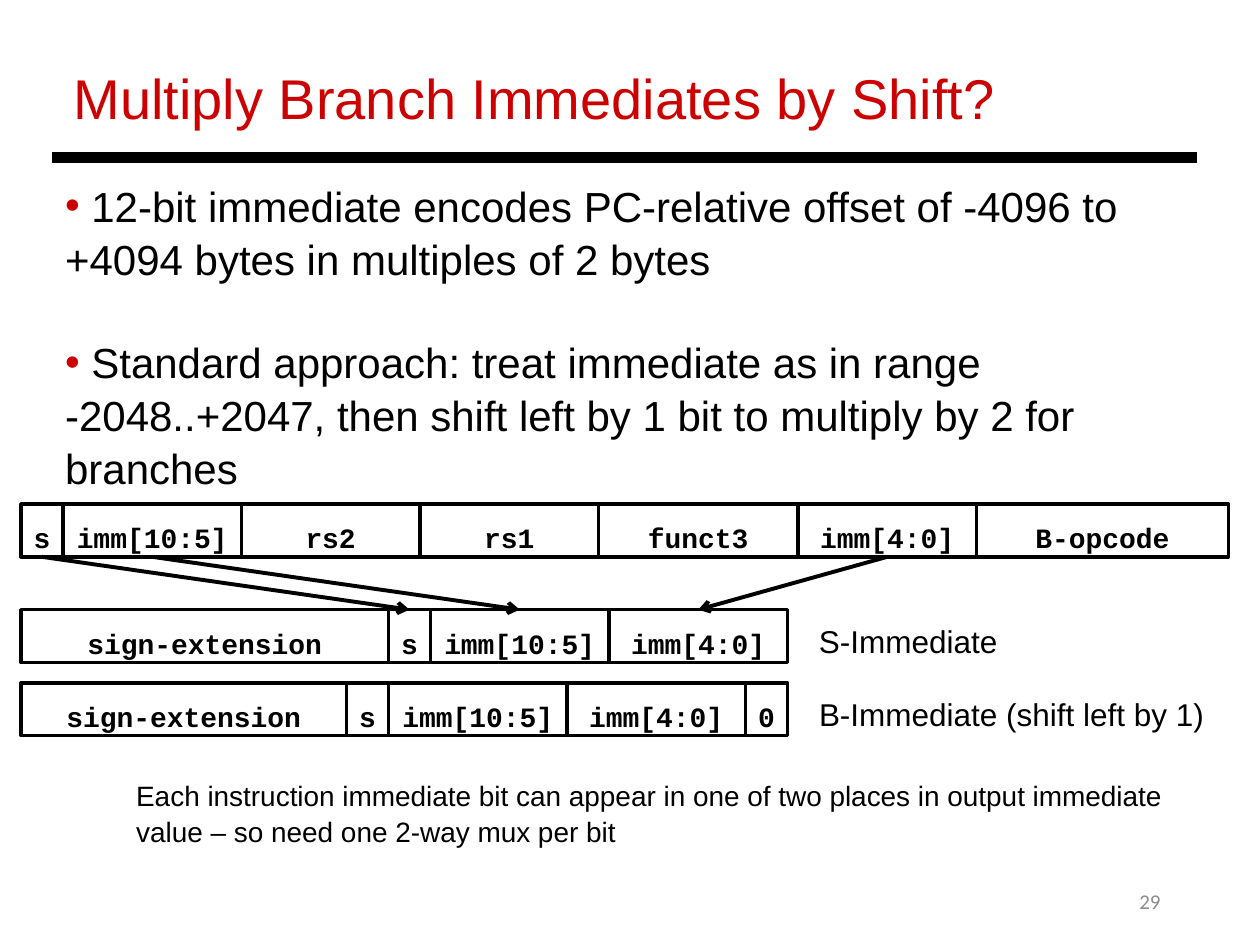
"""Build the slide on shifting branch immediates."""
from dataclasses import dataclass

from lxml import etree
from pptx import Presentation
from pptx.dml.color import RGBColor
from pptx.enum import shapes, text
from pptx.oxml import ns
from pptx.util import Pt

BLACK = RGBColor(0x00, 0x00, 0x00)
WHITE = RGBColor(0xFF, 0xFF, 0xFF)
RED = RGBColor(0xCC, 0x00, 0x00)
GRAY = RGBColor(0x8C, 0x8C, 0x8C)

LEFT, CELL_H = 12, 30.2
BIT, FIELD = 24, 102
ROW_Y = {"instr": 288, "S": 348.4, "B": 390.2}
HIGH, LOW, SIGN = "imm[10:5]", "imm[4:0]", "sign-extension"


def add_text(p, content, size=24, font="Arial", color=BLACK, bold=False,
             align=text.PP_ALIGN.LEFT, spacing=1.05, before=0):
    """Write one formatted run into a paragraph."""
    p.alignment = align
    p.line_spacing = spacing
    p.space_before = Pt(before)
    r = p.add_run()
    r.text = content
    f = r.font
    f.size, f.name, f.bold = Pt(size), font, bold
    f.color.rgb = color


def add_bullet(p, color):
    """Give a paragraph a coloured bullet without a hanging indent."""
    pPr = p._p.get_or_add_pPr()
    pPr.set("marL", "0")
    pPr.set("indent", "0")
    clr = etree.SubElement(pPr, ns.qn("a:buClr"))
    etree.SubElement(clr, ns.qn("a:srgbClr"), val=str(color))
    etree.SubElement(pPr, ns.qn("a:buFont"), typeface="Arial")
    etree.SubElement(pPr, ns.qn("a:buChar"), char="•")


@dataclass
class Builder:
    """Hold the style and the current slide."""
    s: object
    mono: str = "Courier New"
    border: float = 2
    arrow_width: float = 2.25

    def frame(self, sp, margins=(7.2, 3.6, 7.2, 3.6), wrap=True,
              anchor=text.MSO_ANCHOR.TOP):
        """Set up the text frame of a shape."""
        tf = sp.text_frame
        tf.auto_size = text.MSO_AUTO_SIZE.NONE
        tf.word_wrap = wrap
        tf.vertical_anchor = anchor
        (tf.margin_left, tf.margin_top,
         tf.margin_right, tf.margin_bottom) = map(Pt, margins)
        return tf

    def place(self, sp, x, y, w, h):
        """Move and size a placeholder."""
        sp.left, sp.top, sp.width, sp.height = map(Pt, (x, y, w, h))
        return self.frame(sp)

    def title(self, content, box):
        """Fill the title placeholder."""
        tf = self.place(self.s.shapes.title, *box)
        add_text(tf.paragraphs[0], content, size=32, color=RED)

    def bullets(self, items, box, gap):
        """Fill the body placeholder with a bulleted list."""
        tf = self.place(self.s.placeholders[1], *box)
        for i, item in enumerate(items):
            p = tf.add_paragraph() if i else tf.paragraphs[0]
            add_bullet(p, RED)
            add_text(p, " " + item, before=gap if i else 0)

    def label(self, content, box, wrap=True, margins=(0, 0, 0, 0),
              anchor=text.MSO_ANCHOR.TOP, **fmt):
        """Add a text box."""
        sp = self.s.shapes.add_textbox(*map(Pt, box))
        tf = self.frame(sp, margins, wrap, anchor)
        add_text(tf.paragraphs[0], content, **fmt)

    def line(self, x1, y1, x2, y2, width, arrow=False):
        """Add a straight line, with an arrowhead if asked."""
        c = self.s.shapes.add_connector(
            shapes.MSO_CONNECTOR.STRAIGHT, *map(Pt, (x1, y1, x2, y2)))
        c.line.color.rgb = BLACK
        c.line.width = Pt(width)
        if arrow:
            etree.SubElement(c.line._ln, ns.qn("a:tailEnd"), type="arrow")
        etree.SubElement(c._element.spPr, ns.qn("a:effectLst"))

    def cell(self, content, x, y, w):
        """Add one bit field."""
        sp = self.s.shapes.add_shape(
            shapes.MSO_SHAPE.RECTANGLE, *map(Pt, (x, y, w, CELL_H)))
        sp.shadow.inherit = False
        sp.fill.solid()
        sp.fill.fore_color.rgb = WHITE
        sp.line.color.rgb = BLACK
        sp.line.width = Pt(self.border)
        tf = self.frame(sp, (0, 8, 0, 0), False, text.MSO_ANCHOR.MIDDLE)
        add_text(tf.paragraphs[0], content, size=16, font=self.mono,
                 bold=True, align=text.PP_ALIGN.CENTER, spacing=1.0)

    def row(self, y, fields):
        """Add adjoining bit fields and return their centres by name."""
        x, centres = LEFT, {}
        for name, w in fields:
            self.cell(name, x, y, w)
            centres[name] = x + w / 2
            x += w
        return centres


def main():
    """Build and save the slide."""
    prs = Presentation()
    prs.slide_width, prs.slide_height = Pt(720), Pt(540)
    b = Builder(prs.slides.add_slide(prs.slide_layouts[1]))

    b.title("Multiply Branch Immediates by Shift?", (34.8, 31, 554, 46))
    b.line(30, 90, 684, 90, 6)
    b.bullets([
        "12-bit immediate encodes PC-relative offset of -4096 to "
        "+4094 bytes in multiples of 2 bytes",
        "Standard approach: treat immediate as in range -2048..+2047, "
        "then shift left by 1 bit to multiply by 2 for branches",
    ], (30, 98, 668, 181.4), gap=29)

    imm = [("s", BIT), (HIGH, FIELD), (LOW, FIELD)]
    source = b.row(ROW_Y["instr"], imm[:2] + [
        ("rs2", FIELD), ("rs1", FIELD), ("funct3", 114),
        (LOW, FIELD), ("B-opcode", 144)])
    target = b.row(ROW_Y["S"], [(SIGN, 210)] + imm)
    b.row(ROW_Y["B"], [(SIGN, 186)] + imm + [("0", BIT)])
    for name, _ in imm:
        b.line(source[name], ROW_Y["instr"] + CELL_H,
               target[name], ROW_Y["S"], b.arrow_width, arrow=True)

    for key, content, w in (("S", "S-Immediate", 103),
                            ("B", "B-Immediate (shift left by 1)", 222.5)):
        b.label(content, (468, ROW_Y[key] + 6, w, 21.6), wrap=False, size=18)
    b.label("Each instruction immediate bit can appear in one of two places "
            "in output immediate value – so need one 2-way mux per bit",
            (77.8, 444.2, 600, 39), size=16)
    b.label("29", (508.3, 500.4, 162, 28.8), margins=(7.2, 3.6, 7.2, 3.6),
            anchor=text.MSO_ANCHOR.MIDDLE, size=12, font="Calibri",
            color=GRAY, align=text.PP_ALIGN.RIGHT, spacing=1.0)
    prs.save("out.pptx")


if __name__ == "__main__":
    main()
